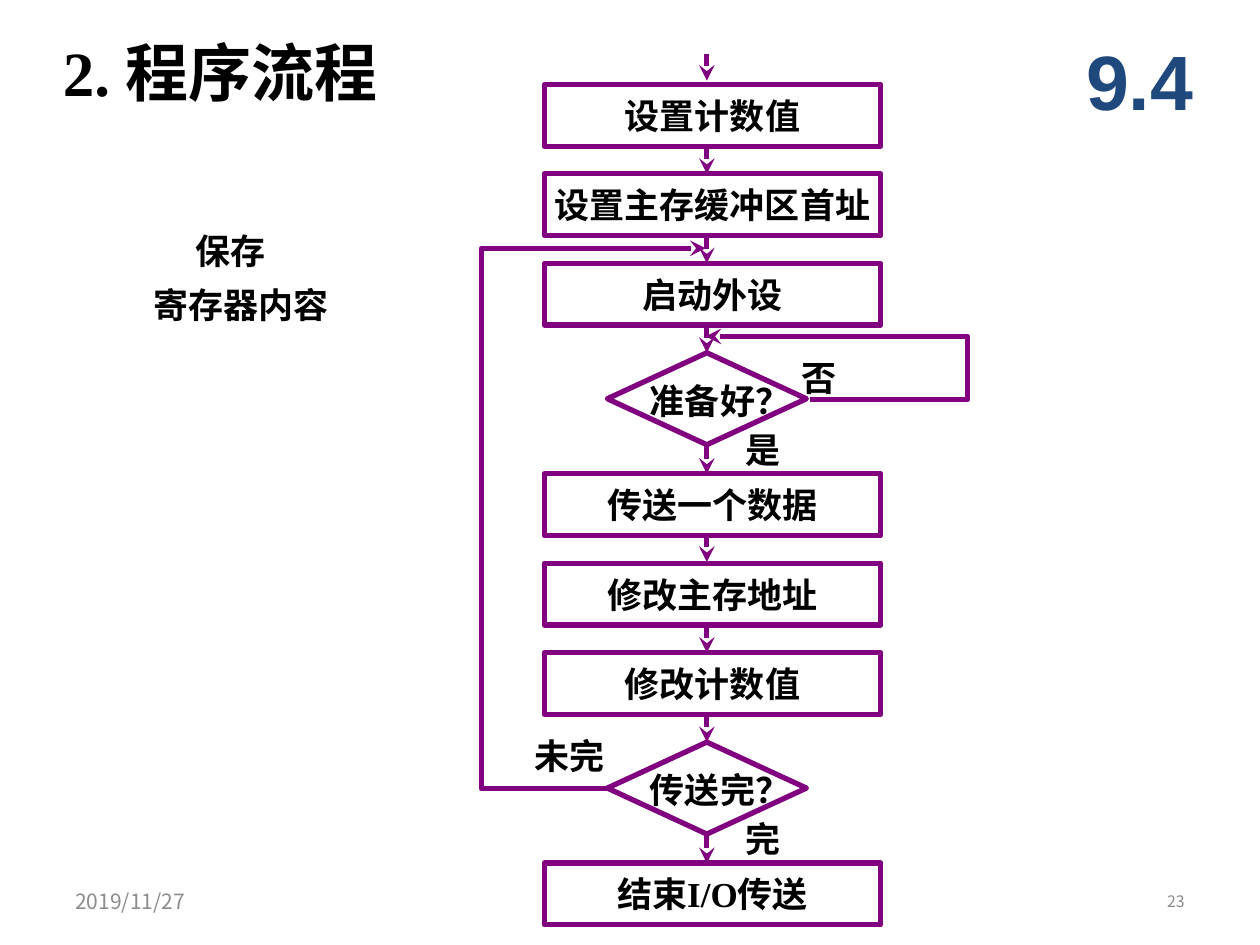
import pptx
import pptx.dml.color
import pptx.enum.shapes
import pptx.enum.text
import pptx.oxml
import pptx.util
from pptx.util import Inches

COLORS = {"text": "000000", "flow": "800080", "number": "1F497D",
          "date": "8C8C8C", "page": "898989"}
ALIGN = pptx.enum.text.PP_ALIGN
ANCHOR = pptx.enum.text.MSO_ANCHOR
SHAPE = pptx.enum.shapes.MSO_SHAPE


def write(box, text, size=20, font="Times New Roman", color="text", bold=True,
          align=ALIGN.LEFT, anchor=ANCHOR.TOP, wrap=False, spacing=None, indents=()):
    """Fill a box with one paragraph per line; indents are left margins in inches."""
    frame = box.text_frame
    frame.text = text
    frame.word_wrap = wrap
    frame.vertical_anchor = anchor
    for paragraph in frame.paragraphs:
        paragraph.alignment = align
        paragraph.line_spacing = spacing
        paragraph.font.size = pptx.util.Pt(size)
        paragraph.font.name = font
        paragraph.font.bold = bold
        paragraph.font.color.rgb = pptx.dml.color.RGBColor.from_string(COLORS[color])
    for paragraph, indent in zip(frame.paragraphs, indents):
        paragraph._p.get_or_add_pPr().set("marL", str(Inches(indent)))


def outline(item, arrow=False):
    """Give a shape or line the flowchart stroke without a shadow."""
    item.line.color.rgb = pptx.dml.color.RGBColor.from_string(COLORS["flow"])
    item.line.width = pptx.util.Pt(3)
    if arrow:
        item.line._get_or_add_ln().append(pptx.oxml.parse_xml(
            '<a:tailEnd xmlns:a="http://schemas.openxmlformats.org/drawingml/2006/main"'
            ' type="stealth"/>'))
    if hasattr(item, "fill"):
        item.fill.background()
        item.shadow.inherit = False
    else:
        item._element.spPr.append(pptx.oxml.parse_xml(
            '<a:effectLst xmlns:a="http://schemas.openxmlformats.org/drawingml/2006/main"/>'))


deck = pptx.Presentation()
deck.slide_width, deck.slide_height = Inches(10), Inches(7.5)
page = deck.slides.add_slide(deck.slide_layouts[6])

# Headings and side note
title = page.shapes.add_textbox(Inches(0.4), Inches(0.22), Inches(2.7), Inches(0.7))
write(title, "2. 程序流程", size=36, wrap=True)
section = page.shapes.add_textbox(Inches(8.42), Inches(0.17), Inches(1.25), Inches(0.92))
write(section, "9.4", size=44, font="Arial", color="number", align=ALIGN.CENTER,
      anchor=ANCHOR.MIDDLE, wrap=True)
note = page.shapes.add_textbox(Inches(0.93), Inches(1.67), Inches(2.18), Inches(1.05))
write(note, "保存\n寄存器内容", wrap=True, spacing=1.3, indents=(0.52, 0.19))

# Process steps
STEP_PITCH = 0.71
step_groups = [
    (0.67, ["设置计数值", "设置主存缓冲区首址", "启动外设"]),
    (3.76, ["传送一个数据", "修改主存地址", "修改计数值"]),
    (6.85, ["结束I/O传送"]),
]
for first_top, names in step_groups:
    for index, name in enumerate(names):
        step = page.shapes.add_shape(
            SHAPE.RECTANGLE, Inches(4.32), Inches(first_top + index * STEP_PITCH),
            Inches(2.67), Inches(0.49))
        outline(step)
        write(step, name, align=ALIGN.CENTER, anchor=ANCHOR.MIDDLE)

# Decisions
decisions = []
for top in (2.8, 5.89):
    decision = page.shapes.add_shape(
        SHAPE.DIAMOND, Inches(4.82), Inches(top), Inches(1.58), Inches(0.73))
    outline(decision)
    decisions.append(decision)
ready, finished = decisions

# Downward arrows: start, end, decision left, decision entered
AXIS = 5.61
arrows = [
    (0.43, 0.64, None, None), (1.17, 1.38, None, None), (1.88, 2.09, None, None),
    (2.58, 2.8, None, ready), (3.53, 3.76, ready, None), (4.25, 4.46, None, None),
    (4.97, 5.18, None, None), (5.67, 5.89, None, finished), (6.62, 6.85, finished, None),
]
for start, end, source, target in arrows:
    arrow = page.shapes.add_connector(
        pptx.enum.shapes.MSO_CONNECTOR.STRAIGHT,
        Inches(AXIS), Inches(start), Inches(AXIS), Inches(end))
    if source:
        arrow.begin_connect(source, 2)
    if target:
        arrow.end_connect(target, 0)
    outline(arrow, arrow=True)

# Return loops
loops = [
    [(4.84, 6.26), (3.82, 6.26), (3.82, 1.97), (5.6, 1.97)],
    [(6.43, 3.17), (7.68, 3.17), (7.68, 2.67), (5.6, 2.67)],
]
for loop in loops:
    points = [(Inches(x), Inches(y)) for x, y in loop]
    builder = page.shapes.build_freeform(*points[0])
    builder.add_line_segments(points[1:], close=False)
    outline(builder.convert_to_shape(), arrow=True)

# Decision questions and branch labels
labels = [
    ("准备好？", 5.06, 2.96, 1.31), ("传送完？", 5.06, 6.05, 1.31),
    ("否", 6.26, 2.78, 0.48), ("是", 5.82, 3.35, 0.48),
    ("未完", 4.14, 5.78, 0.76), ("完", 5.82, 6.44, 0.48),
]
for text, left, top, width in labels:
    label = page.shapes.add_textbox(Inches(left), Inches(top), Inches(width), Inches(0.43))
    write(label, text)

# Footer
footers = [("2019/11/27", 0.5, 12, "date", ALIGN.LEFT), ("23", 7.17, 9, "page", ALIGN.RIGHT)]
for text, left, size, color, align in footers:
    footer = page.shapes.add_textbox(Inches(left), Inches(6.95), Inches(2.33), Inches(0.4))
    write(footer, text, size=size, font="Noto Sans CJK SC", color=color, bold=False,
          align=align, anchor=ANCHOR.MIDDLE, wrap=True)

deck.save("out.pptx")
